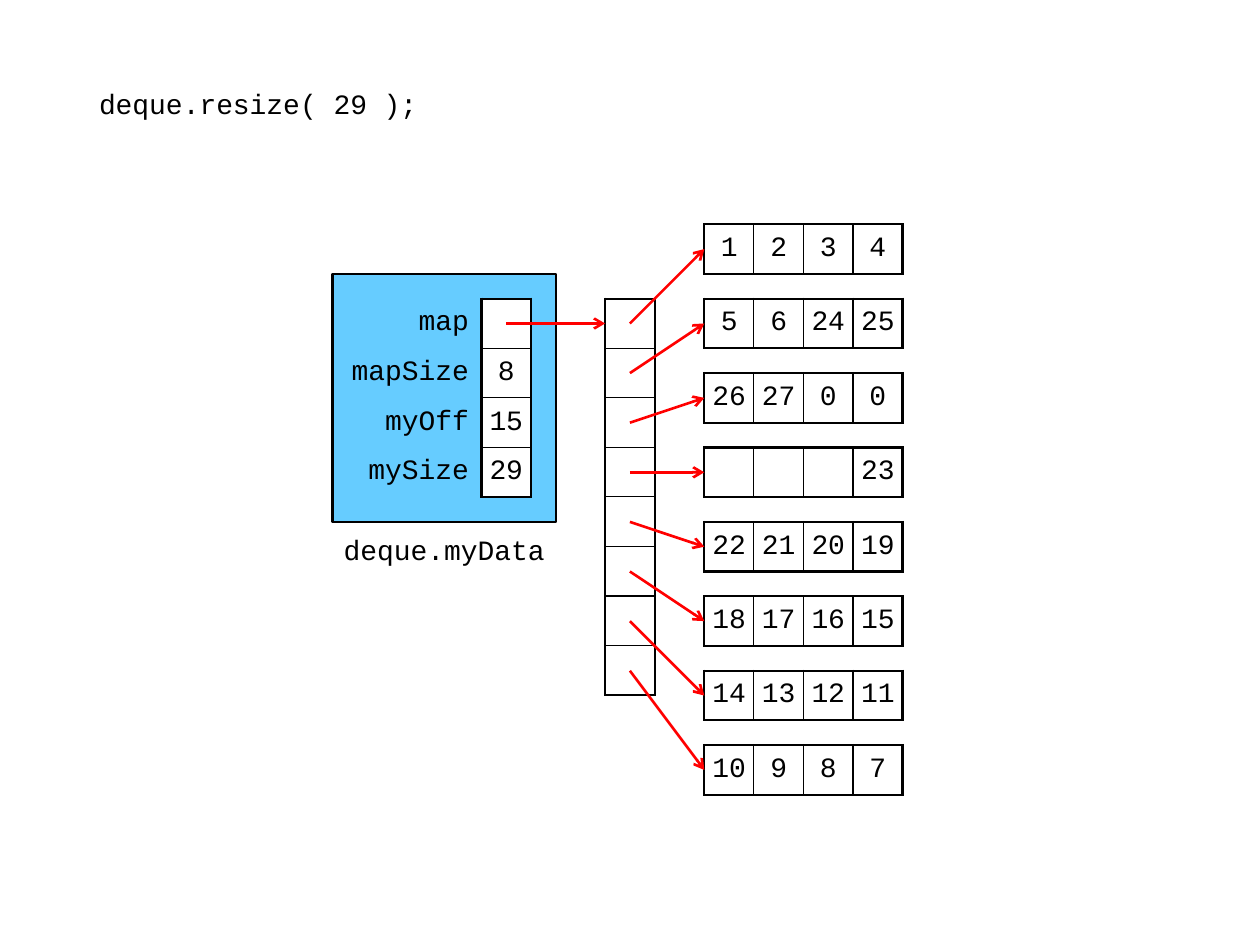
from dataclasses import dataclass

from lxml.etree import SubElement
from pptx import Presentation
from pptx.dml.color import RGBColor
from pptx.enum.shapes import MSO_CONNECTOR, MSO_SHAPE
from pptx.enum.text import MSO_ANCHOR, PP_ALIGN
from pptx.oxml import parse_xml
from pptx.oxml.ns import nsdecls, qn
from pptx.util import Inches, Pt

TITLE = "deque.resize( 29 );"
CAPTION = "deque.myData"
FIELDS = [("map", ""), ("mapSize", "8"), ("myOff", "15"), ("mySize", "29")]
BLOCKS = [
    ("1", "2", "3", "4"),
    ("5", "6", "24", "25"),
    ("26", "27", "0", "0"),
    ("", "", "", "23"),
    ("22", "21", "20", "19"),
    ("18", "17", "16", "15"),
    ("14", "13", "12", "11"),
    ("10", "9", "8", "7"),
]


@dataclass(frozen=True)
class Theme:
    font: str = "Courier New"
    size: float = 16
    ink: str = "000000"
    paper: str = "FFFFFF"
    panel: str = "66CCFF"
    arrow: str = "FF0000"
    thick: float = 1.5
    thin: float = 0.75


THEME = Theme()

CELL = 1 / 2.54  # one grid square is a centimetre
LABEL_W = 3 * CELL
BLOCK_X, BLOCK_Y, BLOCK_STEP = 5.59, 1.78, 1.5 * CELL
MAP_X, MAP_Y = BLOCK_X - 2 * CELL, BLOCK_Y + 1.5 * CELL
PANEL_X, PANEL_Y = 2.64, BLOCK_Y + CELL
PANEL_W, PANEL_H = 4.5 * CELL, 5 * CELL


def rgb(value):
    return RGBColor.from_string(value)


def style_text(tf, text, align):
    p = tf.paragraphs[0]
    p.text = text
    p.alignment = align
    p.font.name = THEME.font
    p.font.size = Pt(THEME.size)
    p.font.color.rgb = rgb(THEME.ink)


def add_text(slide, text, x, y, w):
    tf = slide.shapes.add_textbox(Inches(x), Inches(y), Inches(w), Inches(CELL)).text_frame
    tf.word_wrap = False
    tf.vertical_anchor = MSO_ANCHOR.MIDDLE
    tf.margin_left = tf.margin_right = tf.margin_bottom = 0
    tf.margin_top = Inches(0.04)
    style_text(tf, text, PP_ALIGN.CENTER)


def set_borders(cell, widths):
    """Draw the left, right, top and bottom edges; a width of 0 hides an edge."""
    tc_pr = cell._tc.get_or_add_tcPr()
    for i, (side, width) in enumerate(zip("LRTB", widths)):
        paint = f'<a:solidFill><a:srgbClr val="{THEME.ink}"/></a:solidFill>' if width else "<a:noFill/>"
        tc_pr.insert(i, parse_xml(f'<a:ln{side} {nsdecls("a")} w="{Pt(width)}">{paint}</a:ln{side}>'))


def add_grid(slide, rows, x, y, has_labels=False):
    """Add a framed table of square cells, with an open label column first if asked."""
    n_rows, n_cols = len(rows), len(rows[0])
    widths = [LABEL_W if has_labels and c == 0 else CELL for c in range(n_cols)]
    table = slide.shapes.add_table(n_rows, n_cols, Inches(x), Inches(y),
                                   Inches(sum(widths)), Inches(n_rows * CELL)).table
    table.first_row = table.horz_banding = False
    for column, width in zip(table.columns, widths):
        column.width = Inches(width)
    first = int(has_labels)
    for r, row in enumerate(rows):
        table.rows[r].height = Inches(CELL)
        for c, text in enumerate(row):
            cell = table.cell(r, c)
            is_label = c < first
            cell.vertical_anchor = MSO_ANCHOR.MIDDLE
            cell.margin_top = cell.margin_bottom = Inches(0.04)
            cell.margin_left = cell.margin_right = Inches(0.1 if is_label else 0)
            style_text(cell.text_frame, text, PP_ALIGN.RIGHT if is_label else PP_ALIGN.CENTER)
            if is_label:
                cell.fill.background()
                set_borders(cell, (0, THEME.thick, 0, 0))
                continue
            cell.fill.solid()
            cell.fill.fore_color.rgb = rgb(THEME.paper)
            outer = (c == first, c == n_cols - 1, r == 0, r == n_rows - 1)
            set_borders(cell, [THEME.thick if edge else THEME.thin for edge in outer])


def add_arrow(slide, x1, y1, x2, y2):
    line = slide.shapes.add_connector(MSO_CONNECTOR.STRAIGHT, Inches(x1), Inches(y1),
                                      Inches(x2), Inches(y2))
    line.line.color.rgb = rgb(THEME.arrow)
    line.line.width = Pt(THEME.thick)
    SubElement(line.line._get_or_add_ln(), qn("a:tailEnd"), type="arrow")
    SubElement(line._element.spPr, qn("a:effectLst"))


def add_panel(slide):
    panel = slide.shapes.add_shape(MSO_SHAPE.FLOWCHART_PROCESS, Inches(PANEL_X), Inches(PANEL_Y),
                                   Inches(PANEL_W), Inches(PANEL_H))
    panel.shadow.inherit = False
    panel.fill.solid()
    panel.fill.fore_color.rgb = rgb(THEME.panel)
    panel.line.color.rgb = rgb(THEME.ink)
    panel.line.width = Pt(THEME.thick)


def main():
    prs = Presentation()
    prs.slide_width, prs.slide_height = Inches(10), Inches(7.5)
    slide = prs.slides.add_slide(prs.slide_layouts[6])

    add_text(slide, TITLE, 0.67, 0.6, 2.76)
    add_text(slide, CAPTION, PANEL_X, PANEL_Y + PANEL_H, PANEL_W)
    add_panel(slide)
    add_grid(slide, FIELDS, PANEL_X, MAP_Y, has_labels=True)
    add_grid(slide, [("",)] * len(BLOCKS), MAP_X, MAP_Y)
    for i, block in enumerate(BLOCKS):
        add_grid(slide, [block], BLOCK_X, BLOCK_Y + i * BLOCK_STEP)

    half = CELL / 2
    add_arrow(slide, PANEL_X + LABEL_W + half, MAP_Y + half, MAP_X, MAP_Y + half)
    for i in range(len(BLOCKS)):
        add_arrow(slide, MAP_X + half, MAP_Y + i * CELL + half,
                  BLOCK_X, BLOCK_Y + i * BLOCK_STEP + half)

    prs.save("out.pptx")


if __name__ == "__main__":
    main()
